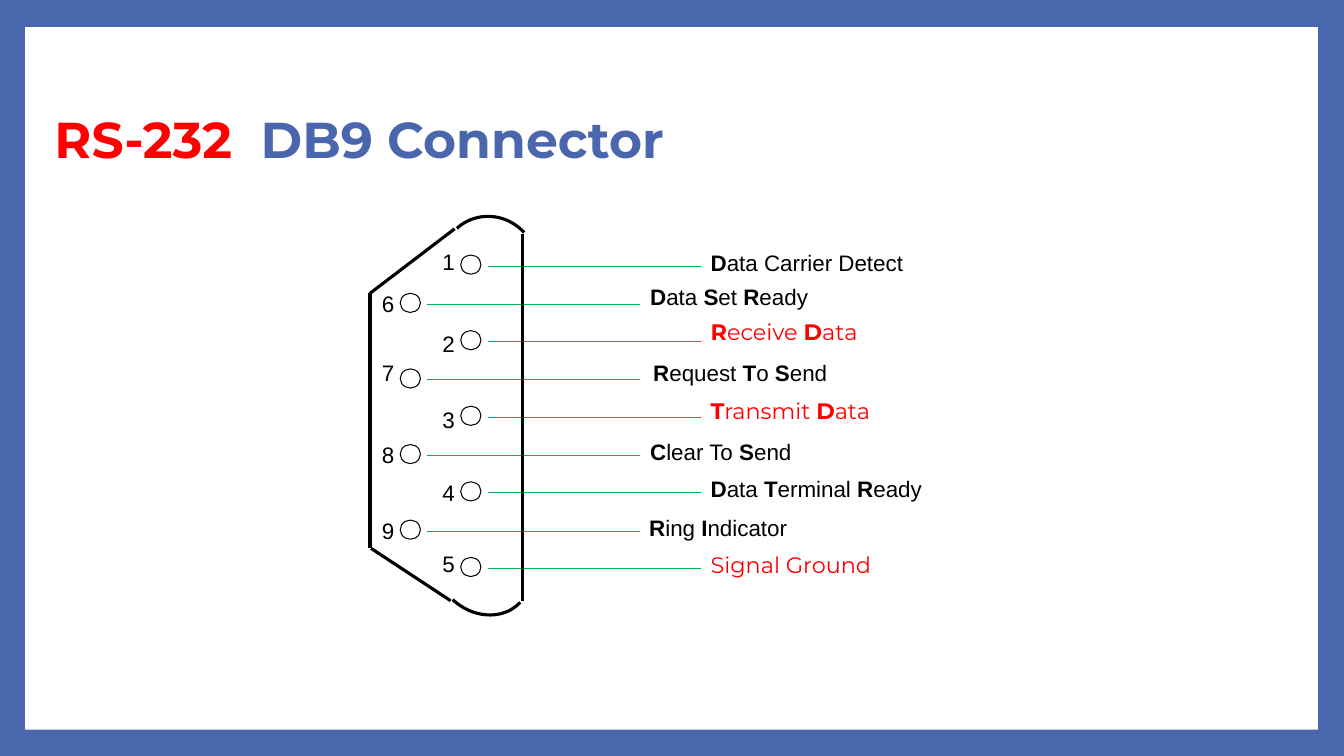
import lxml.etree
import pptx
import pptx.dml.color
import pptx.enum.shapes
import pptx.enum.text
import pptx.oxml.ns
import pptx.util

PX = 9144  # EMU per px, 100 px to the inch
COLOR = pptx.dml.color.RGBColor.from_string
SHAPE = pptx.enum.shapes.MSO_SHAPE
ANCHOR = pptx.enum.text.MSO_ANCHOR
THEME = {
    "blue": COLOR("4A66AC"),
    "white": COLOR("FFFFFF"),
    "red": COLOR("FF0000"),
    "green": COLOR("00B050"),
    "black": COLOR("000000"),
    "title": {"name": "Montserrat", "size": pptx.util.Pt(36), "bold": True},
    "plain": {"name": "Arial", "size": pptx.util.Pt(16)},
    "signal": {"name": "Montserrat", "size": pptx.util.Pt(16)},
    "thin": pptx.util.Pt(0.75),
    "thick": pptx.util.Pt(2.25),
}

presentation = pptx.Presentation()
presentation.slide_width = 1333 * PX
presentation.slide_height = 750 * PX
slide = presentation.slides.add_slide(presentation.slide_layouts[5])


def add_line(start_x, start_y, end_x, end_y, color, width):
    line = slide.shapes.add_connector(
        pptx.enum.shapes.MSO_CONNECTOR.STRAIGHT,
        start_x * PX, start_y * PX, end_x * PX, end_y * PX)
    line.line.color.rgb = THEME[color]
    line.line.width = THEME[width]
    lxml.etree.SubElement(line._element.spPr, pptx.oxml.ns.qn("a:effectLst"))


def add_text(left, top, width, marked_text, style, color):
    """Add a text box; letters between asterisks are bold."""
    box = slide.shapes.add_textbox(left * PX, top * PX, width * PX, 37 * PX)
    frame = box.text_frame
    frame.word_wrap = False
    frame.auto_size = pptx.enum.text.MSO_AUTO_SIZE.SHAPE_TO_FIT_TEXT
    for index, part in enumerate(marked_text.split("*")):
        if part:
            run = frame.paragraphs[0].add_run()
            run.text = part
            run.font.color.rgb = THEME[color]
            for name, value in {**THEME[style], "bold": index % 2 == 1}.items():
                setattr(run.font, name, value)


# Blue frame around a white panel
slide.background.fill.solid()
slide.background.fill.fore_color.rgb = THEME["blue"]
panel = slide.shapes.add_shape(SHAPE.RECTANGLE, 25 * PX, 27 * PX, 1282 * PX, 697 * PX)
panel.shadow.inherit = False
panel.fill.solid()
panel.fill.fore_color.rgb = THEME["white"]
panel.line.fill.background()

# Title
title = slide.shapes.title
title._element.addprevious(panel._element)
for name, value in {"left": 44, "top": 67, "width": 1228, "height": 148}.items():
    setattr(title, name, value * PX)
title.text_frame.vertical_anchor = ANCHOR.MIDDLE
paragraph = title.text_frame.paragraphs[0]
paragraph.alignment = pptx.enum.text.PP_ALIGN.LEFT
paragraph.line_spacing = 0.9
for text, color in [("RS-232", "red"), ("  DB9 Connector", "blue")]:
    run = paragraph.add_run()
    run.text = text
    run.font.color.rgb = THEME[color]
    for name, value in THEME["title"].items():
        setattr(run.font, name, value)

# Pins from top to bottom: number, its top, label, label left, top and width, style, color
pins = [
    ("1", 241, "*D*ata Carrier Detect", 695, 242, 272, "plain", "black"),
    ("6", 283, "*D*ata *S*et *R*eady", 635, 276, 227, "plain", "black"),
    ("2", 323, "*R*eceive *D*ata", 695, 311, 182, "signal", "red"),
    ("7", 351, "*R*equest *T*o *S*end", 638, 351, 248, "plain", "black"),
    ("3", 398, "*T*ransmit *D*ata", 695, 389, 195, "signal", "red"),
    ("8", 433, "*C*lear To *S*end", 635, 430, 206, "plain", "black"),
    ("4", 470, "*D*ata *T*erminal *R*eady", 695, 466, 296, "plain", "black"),
    ("9", 508, "*R*ing *I*ndicator", 634, 505, 202, "plain", "black"),
    ("5", 541, "Signal Ground", 695, 542, 192, "signal", "red"),
]
for row, (number, number_top, label, left, top, width, style, color) in enumerate(pins):
    pin_left = 397 if row % 2 else 457
    pin_top = 253 + (75 * row + 1) // 2
    add_line(pin_left + 27, pin_top + 11, pin_left + 238, pin_top + 11, "green", "thin")
    pin = slide.shapes.add_shape(
        SHAPE.FLOWCHART_CONNECTOR, pin_left * PX, pin_top * PX, 20 * PX, 19 * PX)
    pin.shadow.inherit = False
    pin.fill.background()
    pin.line.color.rgb = THEME["black"]
    pin.line.width = THEME["thin"]
    add_text(pin_left - 28, number_top, 42, number, "plain", "black")
    add_text(left, top, width, label, style, color)

# Connector shell: straight sides, then rounded ends
for side in [(367, 291, 367, 544), (518, 232, 518, 596),
             (367, 291, 451, 227), (368, 544, 447, 596)]:
    add_line(*side, "black", "thick")
for left, top, width, height, rotation in [(435, 512, 87, 102, 132.8),
                                           (439, 214, 93, 96, 317.7)]:
    arc = slide.shapes.add_shape(SHAPE.ARC, left * PX, top * PX, width * PX, height * PX)
    arc.rotation = rotation
    arc.adjustments[0] = 161.93
    arc.shadow.inherit = False
    arc.fill.background()
    arc.line.color.rgb = THEME["black"]
    arc.line.width = THEME["thick"]

presentation.save("out.pptx")
